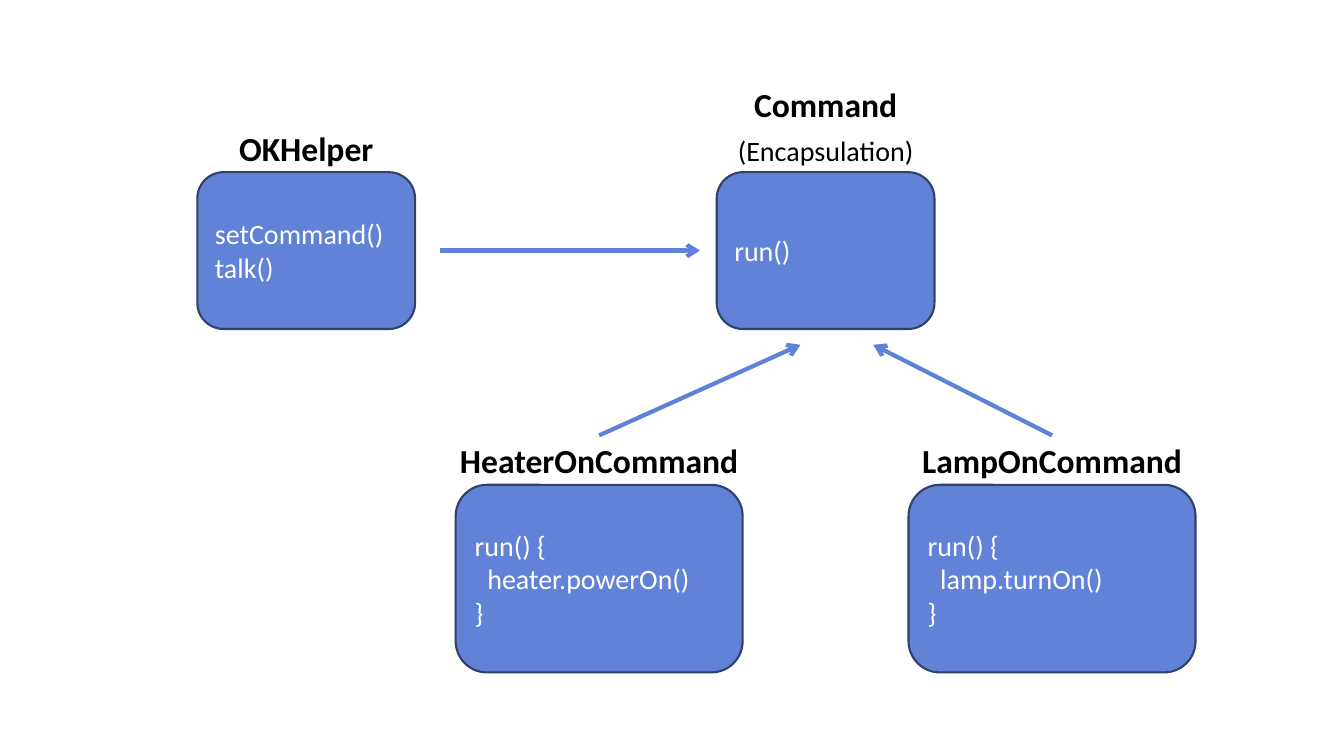
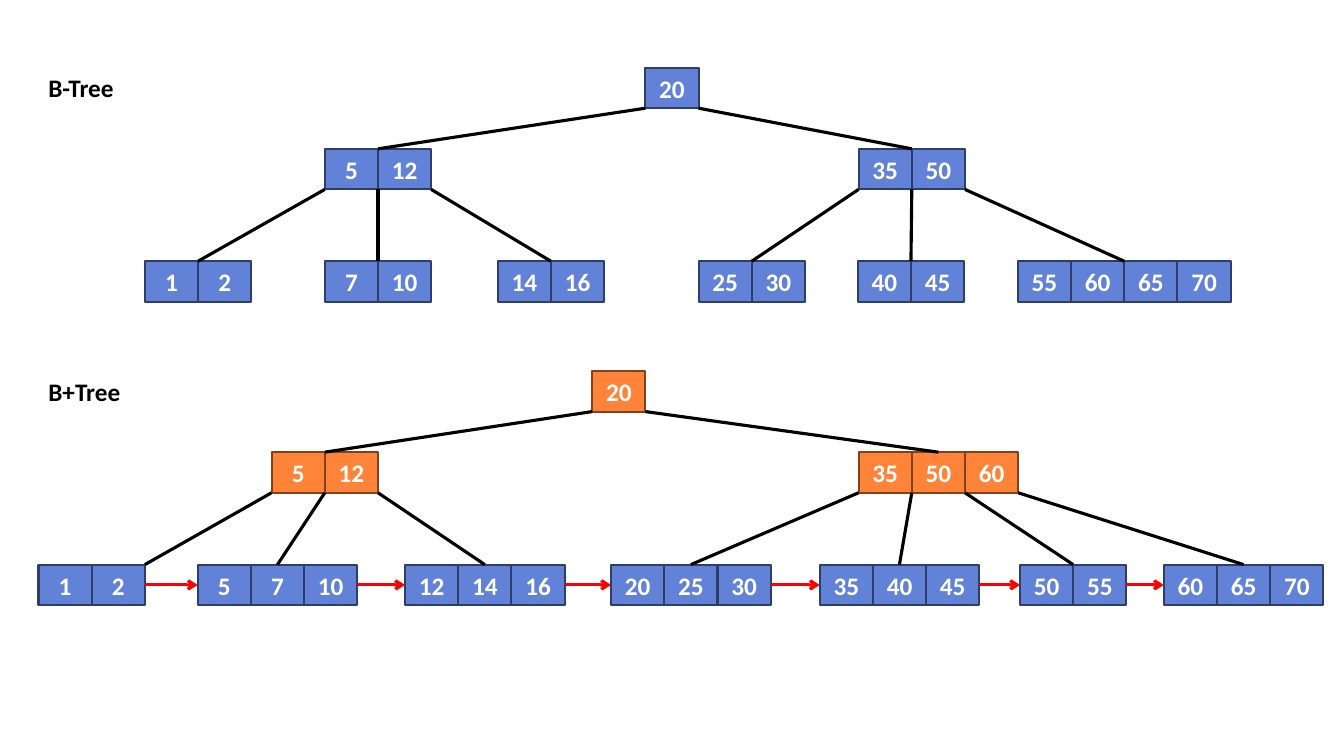
from itertools import pairwise
from typing import NamedTuple

from lxml.etree import SubElement
from pptx import Presentation
from pptx.dml.color import RGBColor
from pptx.enum.shapes import MSO_CONNECTOR as Connector, MSO_SHAPE as Shape
from pptx.enum.text import MSO_ANCHOR as Anchor, MSO_AUTO_SIZE as AutoSize, PP_ALIGN as Align
from pptx.oxml.ns import qn
from pptx.util import Pt

FONT = "Calibri"
BLACK, WHITE, RED = "000000", "FFFFFF", "FF0000"
BLUE, NAVY, ARROW_BLUE = "6182D6", "30416A", "5E81D9"
LEAF_EDGE = "2E3E67"
ORANGE, BROWN = "FF843A", "7F421D"


class ClassBox(NamedTuple):
    """A class with its heading, note and code; each code line has an indent."""
    left: float
    top: float
    width: float
    height: float
    heading: str
    heading_width: float
    note: str
    code: list


class Node(NamedTuple):
    """A tree node; joint is the share of its width where its parent's line lands."""
    left: float
    keys: list
    joint: float = 0.5


HEADING_HEIGHT, NOTE_HEIGHT = 35.3, 31
INDENT = 9
SPEAKER = ClassBox(141, 123, 155.5, 112, "OKHelper", 118, "",
                   [("setCommand()", 0), ("talk()", 0)])
COMMAND = ClassBox(512, 123, 155.5, 112, "Command", 118, "(Encapsulation)",
                   [("run()", 0)])
HEATER = ClassBox(325.5, 346.3, 205, 134, "HeaterOnCommand", 228, "",
                  [("run() {", 0), ("heater.powerOn()", INDENT), ("}", 0)])
LAMP = ClassBox(649, 346.3, 205, 134, "LampOnCommand", 228, "",
                [("run() {", 0), ("lamp.turnOn()", INDENT), ("}", 0)])

CELL_WIDTH, CELL_HEIGHT = 38, 29
LEVEL_OFFSETS = (0, 58, 138.3)
TITLE_LEFT, TITLE_WIDTH = 27.5, 72
B_TREE = [
    [Node(461, [20])],
    [Node(232, [5, 12]), Node(613.3, [35, 50])],
    [Node(103.5, [1, 2]), Node(232, [7, 10]), Node(355.5, [14, 16]),
     Node(499, [25, 30]), Node(612.7, [40, 45]), Node(727, [55, 60, 65, 70])],
]
B_PLUS_TREE = [
    [Node(423, [20])],
    [Node(194, [5, 12]), Node(613.3, [35, 50, 60])],
    [Node(27.5, [1, 2], 1), Node(141.2, [5, 7, 10]), Node(289.3, [12, 14, 16]),
     Node(436.5, [20, 25, 30]), Node(585.5, [35, 40, 45]), Node(728.6, [50, 55]),
     Node(831.3, [60, 65, 70])],
]


def color(value):
    """Turn a hex string into a colour."""
    return RGBColor.from_string(value)


def style(para, size, ink, bold=False, align=Align.LEFT):
    """Set the font and alignment of a paragraph."""
    para.alignment = align
    font = para.font
    font.name, font.size, font.bold = FONT, Pt(size), bold
    font.color.rgb = color(ink)


def add_label(page, text, left, top, width, height, size, bold=True, align=Align.LEFT):
    """Add one line of black text."""
    box = page.shapes.add_textbox(Pt(left), Pt(top), Pt(width), Pt(height))
    frame = box.text_frame
    frame.word_wrap, frame.auto_size = True, AutoSize.SHAPE_TO_FIT_TEXT
    frame.text = text
    style(frame.paragraphs[0], size, BLACK, bold, align)


def add_box(page, kind, left, top, width, height, fill, edge):
    """Add an outlined shape and return its text frame, centred vertically."""
    box = page.shapes.add_shape(kind, Pt(left), Pt(top), Pt(width), Pt(height))
    box.shadow.inherit = False
    box.fill.solid()
    box.fill.fore_color.rgb = color(fill)
    box.line.color.rgb, box.line.width = color(edge), Pt(1.5)
    box.text_frame.vertical_anchor = Anchor.MIDDLE
    return box.text_frame


def add_line(page, start, end, ink=BLACK, weight=2.25, arrow=False):
    """Add a straight line, with an open arrowhead at its end if asked."""
    line = page.shapes.add_connector(Connector.STRAIGHT, *map(Pt, start + end))
    line.line.color.rgb, line.line.width = color(ink), Pt(weight)
    if arrow:
        SubElement(line.line._get_or_add_ln(), qn("a:tailEnd"), type="arrow")
    SubElement(line._element.spPr, qn("a:effectLst"))


def draw_class(page, item):
    """Draw a class box with its heading and note stacked above it."""
    frame = add_box(page, Shape.ROUNDED_RECTANGLE, *item[:4], BLUE, NAVY)
    frame.text = "\n".join(text for text, _ in item.code)
    for para, (_, indent) in zip(frame.paragraphs, item.code):
        style(para, 20, WHITE)
        if indent:
            para._p.get_or_add_pPr().set("marL", str(Pt(indent)))
    bottom = item.top
    if item.note:
        bottom -= NOTE_HEIGHT
        add_label(page, item.note, item.left, bottom, item.width, NOTE_HEIGHT,
                  20, False, Align.CENTER)
    add_label(page, item.heading, item.left + (item.width - item.heading_width) / 2,
              bottom - HEADING_HEIGHT, item.heading_width, HEADING_HEIGHT,
              24, align=Align.CENTER)


def draw_node(page, node, top, fill, edge):
    """Draw the keys of a node as adjoining cells."""
    for index, key in enumerate(node.keys):
        frame = add_box(page, Shape.RECTANGLE, node.left + index * CELL_WIDTH, top,
                        CELL_WIDTH, CELL_HEIGHT, fill, edge)
        frame.text = str(key)
        style(frame.paragraphs[0], 18, WHITE, True, Align.CENTER)


def node_width(node):
    """Return the width of all cells of a node."""
    return len(node.keys) * CELL_WIDTH


def draw_tree(page, title, top, levels, inner_fill, inner_edge):
    """Draw a tree; a node with n keys takes the next n + 1 nodes below it."""
    add_label(page, title, TITLE_LEFT, top, TITLE_WIDTH, CELL_HEIGHT, 18)
    tops = [top + offset for offset in LEVEL_OFFSETS]
    for level, level_top in zip(levels, tops):
        is_leaf = level is levels[-1]
        fill, edge = (BLUE, LEAF_EDGE) if is_leaf else (inner_fill, inner_edge)
        for node in level:
            draw_node(page, node, level_top, fill, edge)
    for (parents, children), (upper, lower) in zip(pairwise(levels), pairwise(tops)):
        remaining = iter(children)
        for parent in parents:
            for slot in range(len(parent.keys) + 1):
                child = next(remaining)
                add_line(page, (parent.left + slot * CELL_WIDTH, upper + CELL_HEIGHT),
                         (child.left + child.joint * node_width(child), lower))


def chain_leaves(page, leaves, top):
    """Join neighbouring leaves with red arrows."""
    middle = top + CELL_HEIGHT / 2
    for leaf, following in pairwise(leaves):
        add_line(page, (leaf.left + node_width(leaf), middle),
                 (following.left, middle), RED, arrow=True)


def build_command_page(page):
    """Build the command pattern diagram."""
    for item in (SPEAKER, COMMAND, HEATER, LAMP):
        draw_class(page, item)
    middle = SPEAKER.top + SPEAKER.height / 2
    arrows = [((SPEAKER.left + SPEAKER.width + 17.5, middle), (COMMAND.left - 12, middle))]
    command_center = COMMAND.left + COMMAND.width / 2
    for item, shift in ((HEATER, -18), (LAMP, 34)):
        arrows.append(((item.left + item.width / 2, item.top - HEADING_HEIGHT),
                       (command_center + shift, COMMAND.top + COMMAND.height + 11.3)))
    for start, end in arrows:
        add_line(page, start, end, ARROW_BLUE, 3, arrow=True)


def build_tree_page(page):
    """Build the B-Tree and B+Tree comparison."""
    plus_top = 265
    draw_tree(page, "B-Tree", 48.3, B_TREE, BLUE, LEAF_EDGE)
    draw_tree(page, "B+Tree", plus_top, B_PLUS_TREE, ORANGE, BROWN)
    chain_leaves(page, B_PLUS_TREE[-1], plus_top + LEVEL_OFFSETS[-1])


deck = Presentation()
deck.slide_width, deck.slide_height = Pt(960), Pt(540)
for build in (build_command_page, build_tree_page):
    build(deck.slides.add_slide(deck.slide_layouts[6]))
deck.save("out.pptx")
